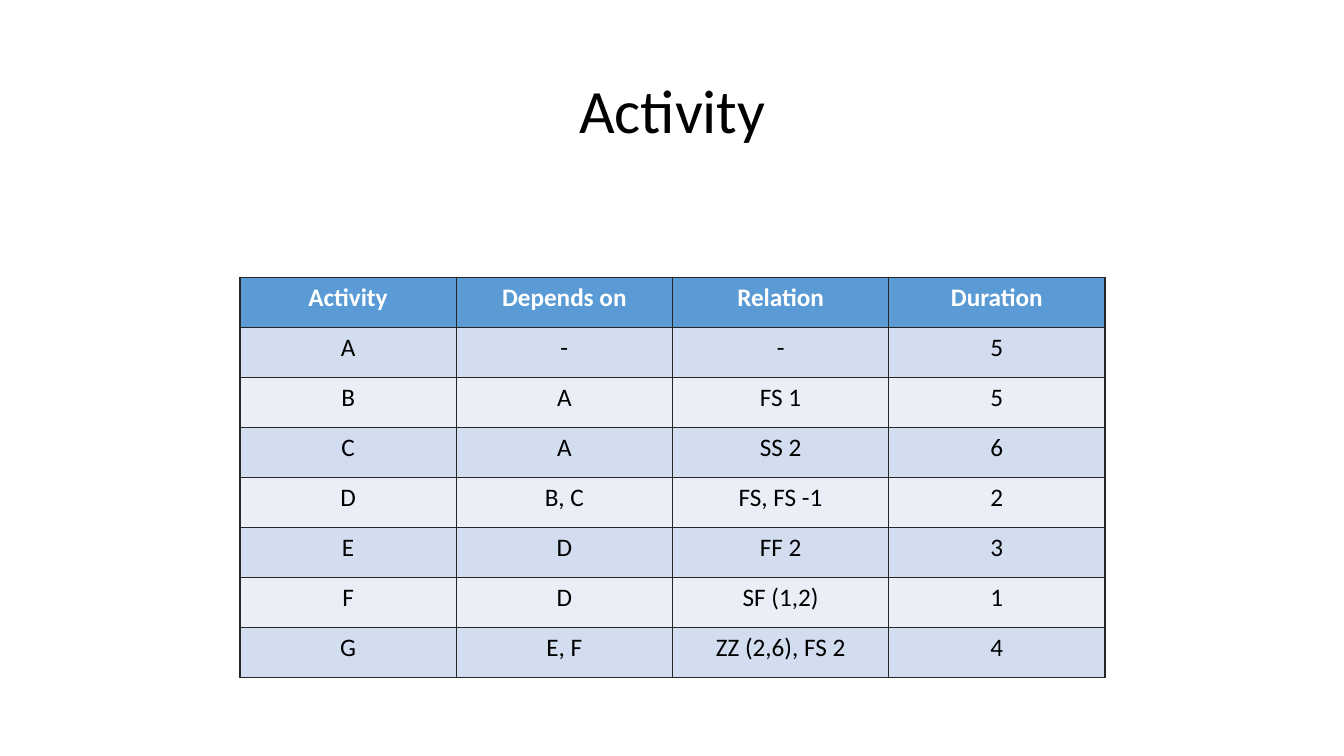
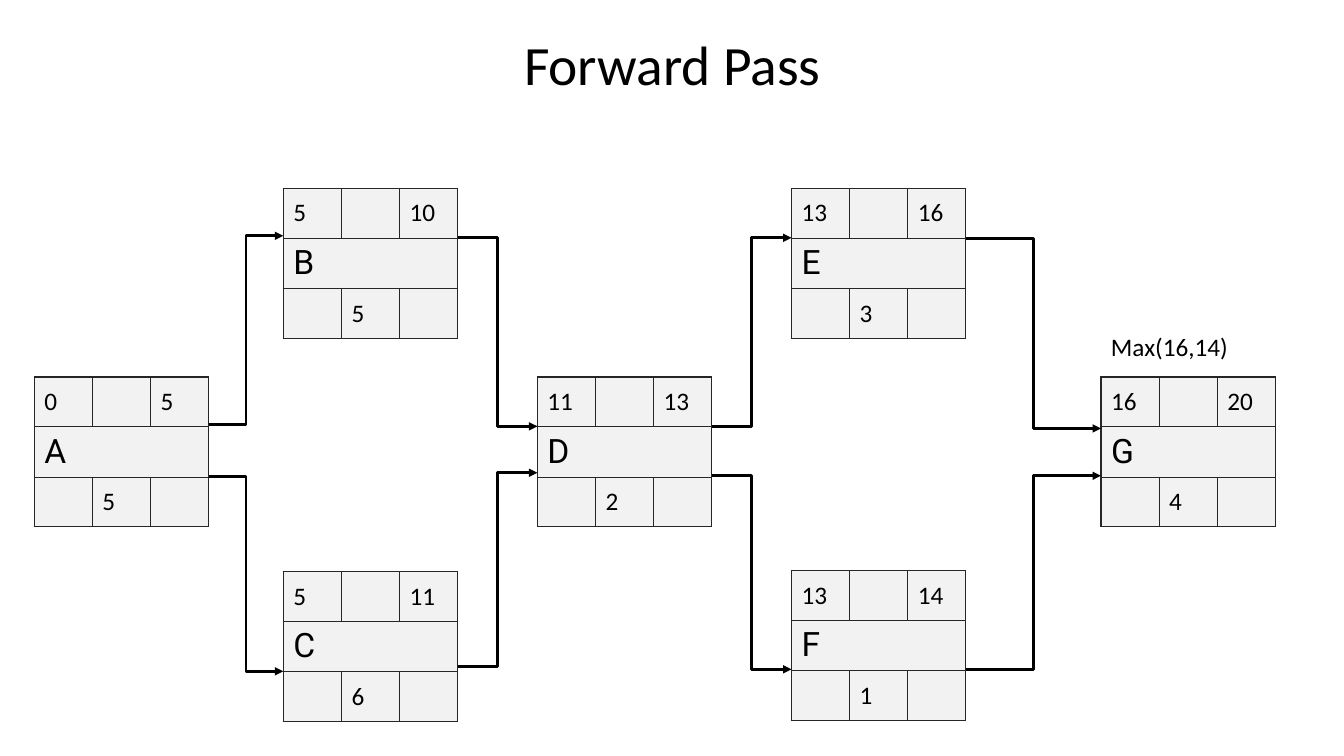
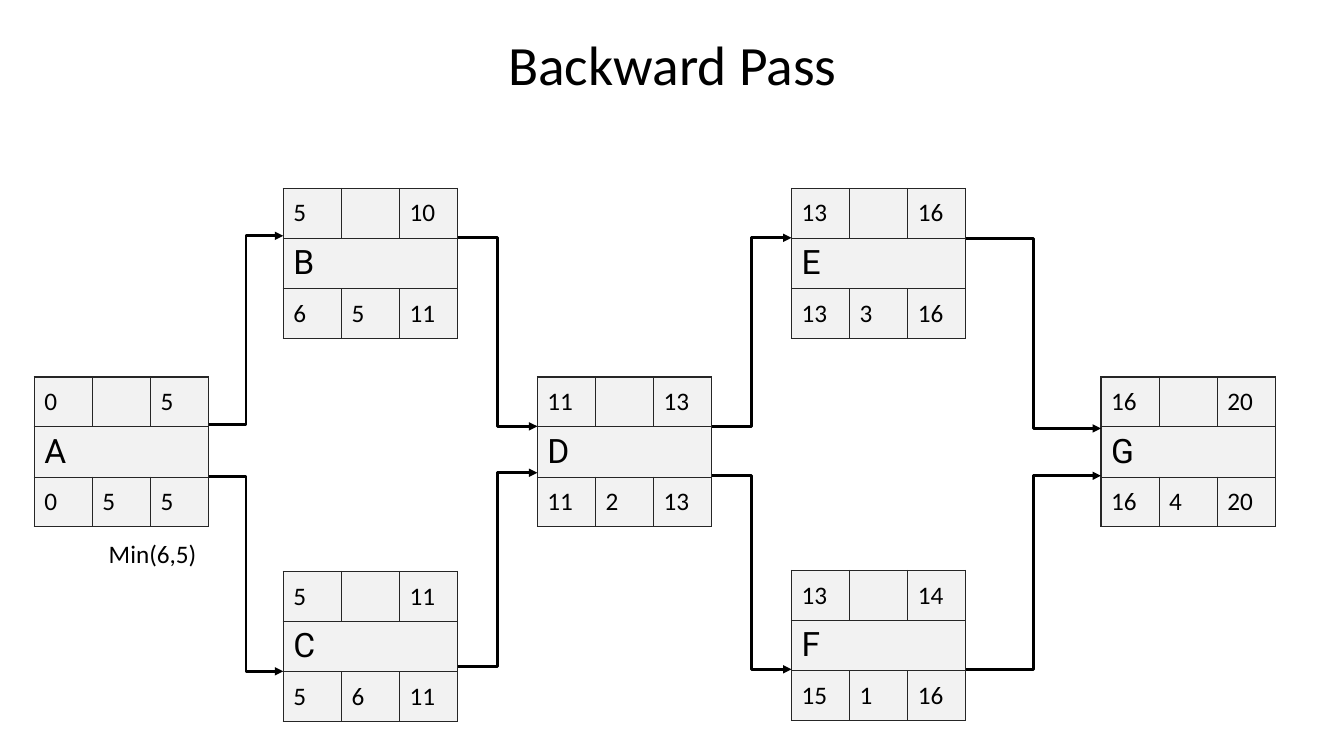
from lxml import etree
from pptx import Presentation
from pptx import util as u
from pptx.dml.color import RGBColor
from pptx.enum import shapes, text
from pptx.oxml.ns import qn

PX = 9144  # EMU per px, 100 px to the inch
COLORS = {
    "ink": "000000", "header_ink": "FFFFFF", "border": "262626",
    "header": "5B9BD5", "band_dark": "D2DEEF", "band_light": "EAEFF7",
    "node": "F2F2F2",
}
BODY = {"name": "Calibri", "size": u.Pt(18), "bold": False}
HEADER = {**BODY, "bold": True}
LETTER = {**BODY, "name": "Roboto", "size": u.Pt(24)}

ACTIVITIES = [
    ("Activity", "Depends on", "Relation", "Duration"),
    ("A", "-", "-", "5"),
    ("B", "A", "FS 1", "5"),
    ("C", "A", "SS 2", "6"),
    ("D", "B, C", "FS, FS -1", "2"),
    ("E", "D", "FF 2", "3"),
    ("F", "D", "SF (1,2)", "1"),
    ("G", "E, F", "ZZ (2,6), FS 2", "4"),
]

# Activity: left, top, early start, early finish, late start, duration, late finish
NODE_W, NODE_H = 173, 148
NODES = {
    "A": (34, 374, 0, 5, 0, 5, 5),
    "C": (281, 567, 5, 11, 5, 6, 11),
    "B": (281, 187, 5, 10, 6, 5, 11),
    "F": (785, 566, 13, 14, 15, 1, 16),
    "E": (785, 187, 13, 16, 13, 3, 16),
    "D": (533, 374, 11, 13, 11, 2, 13),
    "G": (1092, 374, 16, 20, 16, 4, 20),
}
# Predecessor, height it leaves at, successor, height it arrives at
LINKS = [
    ("A", 421, "B", 234), ("A", 473, "C", 666),
    ("B", 236, "D", 423), ("C", 661, "D", 469),
    ("D", 423, "E", 236), ("D", 472, "F", 664),
    ("E", 237, "G", 425), ("F", 664, "G", 472),
]


def px(*lengths):
    return [u.Emu(length * PX) for length in lengths]


def rgb(color):
    return RGBColor.from_string(COLORS[color])


def write(frame, words, style, color="ink", align=text.PP_ALIGN.LEFT):
    paragraph = frame.paragraphs[0]
    paragraph.alignment = align
    run = paragraph.add_run()
    run.text = words
    for attribute, value in style.items():
        setattr(run.font, attribute, value)
    run.font.color.rgb = rgb(color)
    return paragraph


def add_title(slide, words, height, size):
    frame = slide.shapes.add_textbox(*px(92, 40, 1150, height)).text_frame
    frame.word_wrap = True
    frame.vertical_anchor = text.MSO_ANCHOR.MIDDLE
    style = {**BODY, "size": u.Pt(size)}
    write(frame, words, style, align=text.PP_ALIGN.CENTER).line_spacing = 0.9


def add_note(slide, words, box):
    frame = slide.shapes.add_textbox(*px(*box)).text_frame
    frame.word_wrap = False
    frame.auto_size = text.MSO_AUTO_SIZE.SHAPE_TO_FIT_TEXT
    write(frame, words, BODY)


def add_grid(slide, box, rows, columns):
    """Add a table with equal rows and columns and no built-in banding."""
    left, top, width, height = px(*box)
    grid = slide.shapes.add_table(rows, columns, left, top, width, height).table
    grid.first_row = grid.horz_banding = False
    for column in grid.columns:
        column.width = u.Emu(width // columns)
    for row in grid.rows:
        row.height = u.Emu(height // rows)
    return grid


def paint_cell(cell, fill):
    cell.fill.solid()
    cell.fill.fore_color.rgb = rgb(fill)
    # Borders come before the fill in the cell properties
    properties = cell._tc.get_or_add_tcPr()
    for position, side in enumerate("LRTB"):
        edge = etree.Element(qn(f"a:ln{side}"), w=str(u.Pt(1)))
        ink = etree.SubElement(edge, qn("a:solidFill"))
        etree.SubElement(ink, qn("a:srgbClr"), val=COLORS["border"])
        properties.insert(position, edge)


def add_activity_table(slide):
    grid = add_grid(slide, (238, 275, 858, 397), len(ACTIVITIES), len(ACTIVITIES[0]))
    for r, activity in enumerate(ACTIVITIES):
        band = "band_dark" if r % 2 else "band_light"
        fill, style, ink = (band, BODY, "ink") if r else ("header", HEADER, "header_ink")
        for c, words in enumerate(activity):
            paint_cell(grid.cell(r, c), fill)
            write(grid.cell(r, c).text_frame, words, style, ink, text.PP_ALIGN.CENTER)


def add_node(slide, letter, backward):
    left, top, early_start, early_finish, late_start, duration, late_finish = NODES[letter]
    if not backward:
        late_start = late_finish = ""
    entries = [
        (early_start, "", early_finish),
        (letter, "", ""),
        (late_start, duration, late_finish),
    ]
    grid = add_grid(slide, (left, top, NODE_W, NODE_H), 3, 3)
    grid.cell(1, 0).merge(grid.cell(1, 2))
    for r, row in enumerate(entries):
        for c, entry in enumerate(row):
            cell = grid.cell(r, c)
            cell.vertical_anchor = text.MSO_ANCHOR.MIDDLE
            paint_cell(cell, "node")
            if entry != "":
                write(cell.text_frame, str(entry), LETTER if r == 1 else BODY)


def add_link(slide, source, leave_y, target, arrive_y):
    ends = px(NODES[source][0] + NODE_W, leave_y, NODES[target][0], arrive_y)
    link = slide.shapes.add_connector(shapes.MSO_CONNECTOR.ELBOW, *ends)
    link.line.color.rgb = rgb("ink")
    link.line.width = u.Pt(2)
    properties = link._element.spPr
    etree.SubElement(properties.find(qn("a:ln")), qn("a:tailEnd"), type="triangle")
    etree.SubElement(properties, qn("a:effectLst"))


def add_network(slide, title, backward, note, note_box):
    add_title(slide, title, 54, 39.6)
    for letter in NODES:
        add_node(slide, letter, backward)
    for link in LINKS:
        add_link(slide, *link)
    add_note(slide, note, note_box)


def main():
    deck = Presentation()
    deck.slide_width, deck.slide_height = px(1333, 750)
    blank = deck.slide_layouts[6]
    activity, forward, backward = [deck.slides.add_slide(blank) for _ in range(3)]

    # Activity list
    add_title(activity, "Activity", 145, 44)
    add_activity_table(activity)

    # Network diagrams
    add_network(forward, "Forward Pass", False, "Max(16,14)", (1092, 324, 137, 40))
    add_network(backward, "Backward Pass", True, "Min(6,5)", (98, 529, 108, 40))
    deck.save("out.pptx")


if __name__ == "__main__":
    main()
